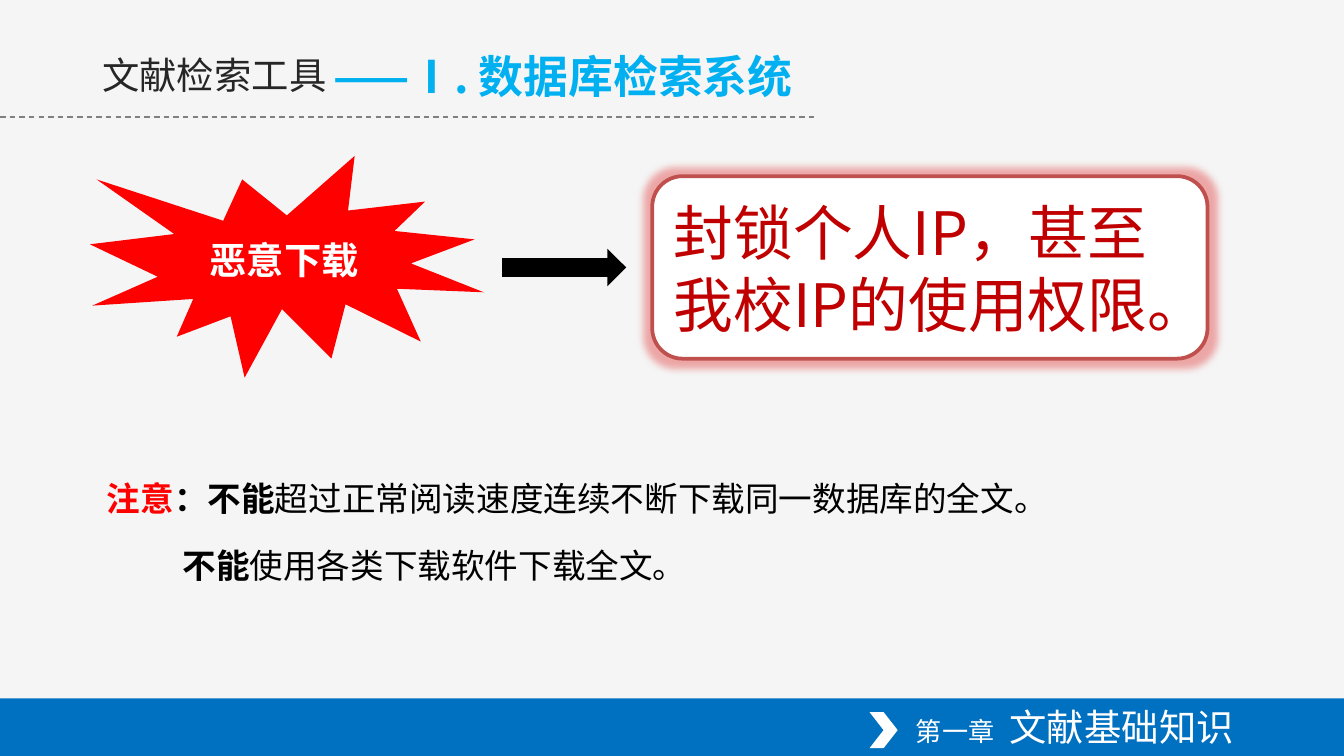
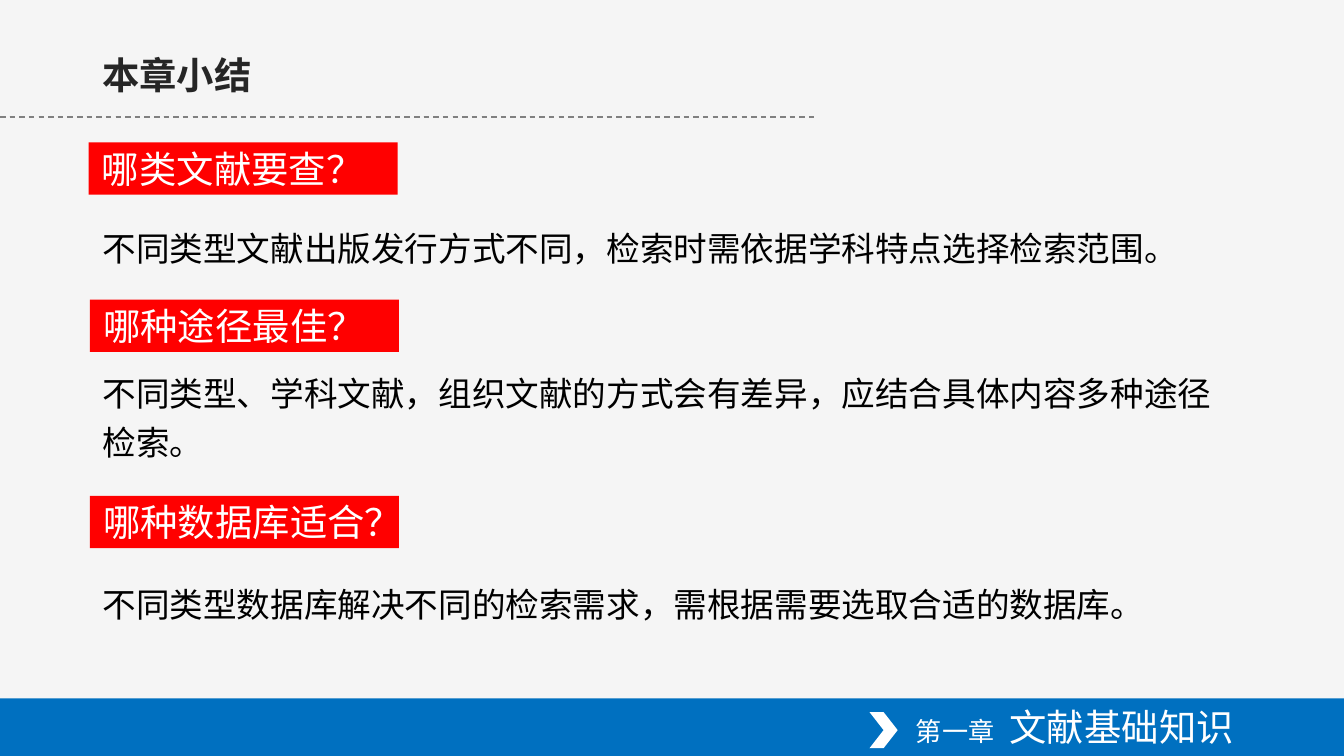
from lxml.etree import SubElement
from pptx import Presentation
from pptx.dml.color import RGBColor
from pptx.enum.dml import MSO_LINE as Dash
from pptx.enum.shapes import MSO_CONNECTOR as Conn, MSO_SHAPE as Kind
from pptx.enum.text import MSO_ANCHOR as Anchor, MSO_AUTO_SIZE as Fit, PP_ALIGN as Align
from pptx.oxml.ns import qn
from pptx.util import Pt

FONT = "Noto Sans CJK SC"
RED, WHITE, BLACK = "FF0000", "FFFFFF", "000000"
MID, LEFT = Anchor.MIDDLE, Align.LEFT


def rgb(code):
    return RGBColor.from_string(code)


def write(shape, lines, anchor=Anchor.TOP, align=LEFT, inset=(7.2, 3.6), space=1.0):
    frame = shape.text_frame
    frame.word_wrap = True
    frame.auto_size = Fit.NONE
    frame.vertical_anchor = anchor
    frame.margin_left = frame.margin_right = Pt(inset[0])
    frame.margin_top = frame.margin_bottom = Pt(inset[1])
    for i, runs in enumerate(lines):
        para = frame.add_paragraph() if i else frame.paragraphs[0]
        para.alignment = align
        para.line_spacing = space
        for text, size, color, bold in runs:
            run = para.add_run()
            run.text = text
            font = run.font
            font.size, font.bold, font.name = Pt(size), bold, FONT
            font.color.rgb = rgb(color)
            SubElement(run._r.get_or_add_rPr(), qn("a:ea"), typeface=FONT)
    return frame


prs = Presentation()
prs.slide_width, prs.slide_height = Pt(720), Pt(405)
back = prs.slide_master.background.fill
back.solid()
back.fore_color.rgb = rgb("F5F5F5")

decks = []
for title, bold in (("文献检索工具", False), ("本章小结", True)):
    slide = prs.slides.add_slide(prs.slide_layouts[5])
    decks.append(slide.shapes)
    for end in (436.3, 314.6):
        rule = slide.shapes.add_connector(Conn.STRAIGHT, 0, Pt(62.6), Pt(end), Pt(62.6))
        rule.line.color.rgb = rgb("808080")
        rule.line.width = Pt(0.75)
        rule.line.dash_style = Dash.DASH
        SubElement(rule._element.spPr, qn("a:effectLst"))
    head = slide.shapes.title
    head.left, head.top, head.width, head.height = Pt(47.5), Pt(24.5), Pt(326), Pt(31.5)
    write(head, [[(title, 20, "262626", bold)]])

    for kind, x, y, w, h, color in (
        (Kind.RECTANGLE, 0, 374.2, 720, 30.8, "0070C0"),
        (Kind.CHEVRON, 465.8, 381.5, 15.1, 19.4, WHITE),
    ):
        part = slide.shapes.add_shape(kind, Pt(x), Pt(y), Pt(w), Pt(h))
        part.shadow.inherit = False
        part.fill.solid()
        part.fill.fore_color.rgb = rgb(color)
        part.line.fill.background()
    foot = slide.shapes.add_textbox(Pt(48.2), Pt(373.7), Pt(620), Pt(31.5))
    write(foot, [[("第一章", 14, WHITE, False), (" ", 16, WHITE, False),
                  (" 文献基础知识", 20, WHITE, False)]], MID, Align.RIGHT)

first, last = decks
thin = (6.75, 3.4)

topic = first.add_textbox(Pt(171.4), Pt(22.3), Pt(326), Pt(36))
write(topic, [[("——Ⅰ. 数据库检索系统", 24, "00B0F0", True)]])

burst = first.add_shape(Kind.EXPLOSION1, Pt(48.2), Pt(83.5), Pt(211), Pt(118.8))
ban = first.add_shape(Kind.ROUNDED_RECTANGLE, Pt(349.4), Pt(94.4), Pt(297.5), Pt(97.8))
arrow = first.add_shape(Kind.RIGHT_ARROW, Pt(269), Pt(133.2), Pt(66.5), Pt(20.2))
for shape, color in ((burst, RED), (ban, WHITE), (arrow, BLACK)):
    shape.shadow.inherit = False
    shape.fill.solid()
    shape.fill.fore_color.rgb = rgb(color)
    shape.line.fill.background()
ban.line.color.rgb = rgb("C0504D")
ban.line.width = Pt(2)
glow = SubElement(ban._element.spPr.find(qn("a:effectLst")), qn("a:glow"), rad=str(Pt(8)))
tint = SubElement(glow, qn("a:srgbClr"), val="E03030")
SubElement(tint, qn("a:alpha"), val="40000")
write(burst, [[("恶意下载", 20, WHITE, True)]], MID, Align.CENTER, thin)
write(ban, [[("封锁个人IP，甚至我校IP的使用权限。", 32, "C00000", False)]], MID, LEFT, thin)

note = first.add_textbox(Pt(47.5), Pt(242), Pt(621.4), Pt(76.3))
frame = write(note, [
    [("注意", 18, RED, True), ("：不能", 18, BLACK, True),
     ("超过正常阅读速度连续不断下载同一数据库的全文。", 18, BLACK, False)],
    [("不能", 18, BLACK, True), ("使用各类下载软件下载全文。", 18, BLACK, False)],
], inset=thin, space=1.5)
for para, indent in zip(frame.paragraphs, (3, 43.5)):
    para._p.get_or_add_pPr().set("marL", str(Pt(indent)))
frame.paragraphs[1].space_before = Pt(3.6)

for ask, x, y, reply, top, high, space in (
    ("哪类文献要查？", 47.5, 76.3,
     "不同类型文献出版发行方式不同，检索时需依据学科特点选择检索范围。", 108, 45.4, 1.5),
    ("哪种途径最佳？", 48.2, 160.6,
     "不同类型、学科文献，组织文献的方式会有差异，应结合具体内容多种途径检索。", 192.2, 66.2, 1.2),
    ("哪种数据库适合？", 48.2, 265.7,
     "不同类型数据库解决不同的检索需求，需根据需要选取合适的数据库。", 298.8, 45.4, 1.5),
):
    label = last.add_shape(Kind.RECTANGLE, Pt(x), Pt(y), Pt(165.6), Pt(28))
    label.shadow.inherit = False
    label.fill.solid()
    label.fill.fore_color.rgb = rgb(RED)
    label.line.fill.background()
    write(label, [[(ask, 20, WHITE, False)]], MID)
    body = last.add_textbox(Pt(48.2), Pt(top), Pt(620), Pt(high))
    write(body, [[(reply, 18, BLACK, False)]], inset=thin, space=space)

prs.save("out.pptx")
